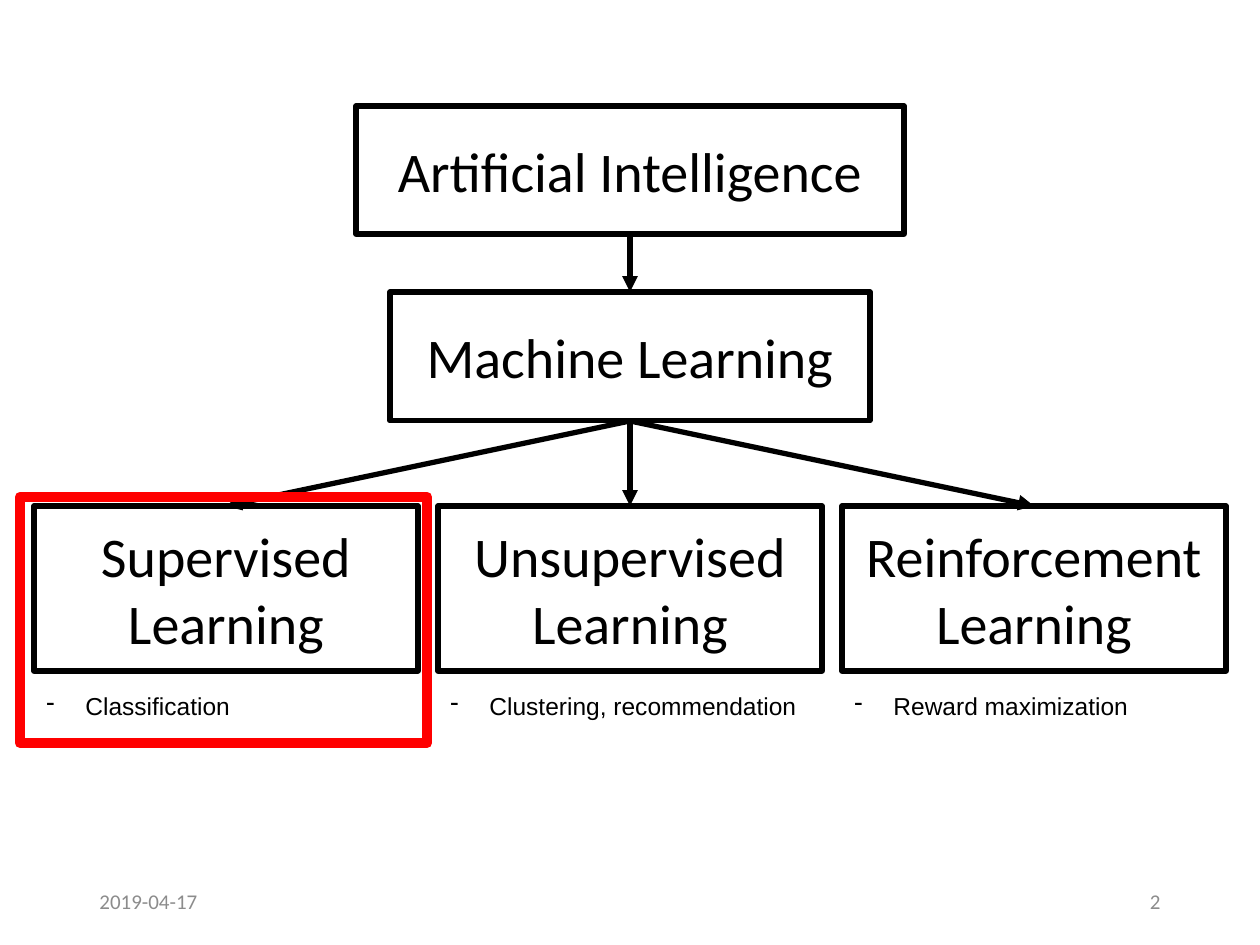
from dataclasses import dataclass

from lxml import etree
from pptx import Presentation
from pptx.dml.color import RGBColor
from pptx.enum.shapes import MSO_CONNECTOR, MSO_SHAPE
from pptx.enum.text import MSO_ANCHOR, PP_ALIGN
from pptx.oxml.ns import qn
from pptx.util import Emu, Pt

STRAIGHT = MSO_CONNECTOR.STRAIGHT
RECTANGLE = MSO_SHAPE.RECTANGLE
TOP, MIDDLE = MSO_ANCHOR.TOP, MSO_ANCHOR.MIDDLE
LEFT, CENTER, RIGHT = PP_ALIGN.LEFT, PP_ALIGN.CENTER, PP_ALIGN.RIGHT
PIXELS_PER_INCH = 126


@dataclass(frozen=True)
class Theme:
    ink: RGBColor = RGBColor(0, 0, 0)
    paper: RGBColor = RGBColor(255, 255, 255)
    highlight: RGBColor = RGBColor(255, 0, 0)
    muted: RGBColor = RGBColor(0x8C, 0x8C, 0x8C)
    heading_font: str = "Calibri"
    note_font: str = "Arial"
    heading_size: int = 32
    note_size: int = 14
    footer_size: int = 12
    line_width: int = 3
    highlight_width: int = 6


THEME = Theme()


def px(length):
    return Emu(round(length * 914400 / PIXELS_PER_INCH))


def write_text(shape, lines, font_name, size, color, alignment, anchor, bullet_indent=0):
    frame = shape.text_frame
    frame.word_wrap = True
    frame.vertical_anchor = anchor
    frame.text = "\n".join(lines)
    for paragraph in frame.paragraphs:
        paragraph.alignment = alignment
        if bullet_indent:
            properties = paragraph._p.get_or_add_pPr()
            properties.set("marL", str(px(bullet_indent)))
            properties.set("indent", str(-px(bullet_indent)))
            etree.SubElement(properties, qn("a:buChar")).set("char", "-")
        paragraph.font.name = font_name
        paragraph.font.size = Pt(size)
        paragraph.font.color.rgb = color


def add_rectangle(slide, box, line_color, line_width):
    shape = slide.shapes.add_shape(RECTANGLE, *map(px, box))
    shape.shadow.inherit = False
    shape.fill.background()
    shape.line.color.rgb = line_color
    shape.line.width = Pt(line_width)
    return shape


def add_node(slide, box, lines):
    node = add_rectangle(slide, box, THEME.ink, THEME.line_width)
    node.fill.solid()
    node.fill.fore_color.rgb = THEME.paper
    write_text(node, lines, THEME.heading_font, THEME.heading_size, THEME.ink, CENTER, MIDDLE)
    return node


def add_arrow(slide, parent, child):
    arrow = slide.shapes.add_connector(STRAIGHT, 0, 0, 0, 0)
    arrow.begin_connect(parent, 2)
    arrow.end_connect(child, 0)
    arrow.line.color.rgb = THEME.ink
    arrow.line.width = Pt(THEME.line_width)
    etree.SubElement(arrow.line._get_or_add_ln(), qn("a:tailEnd")).set("type", "triangle")
    etree.SubElement(arrow._element.spPr, qn("a:effectLst"))


def add_note(slide, box, text):
    note = slide.shapes.add_textbox(*map(px, box))
    write_text(note, [text], THEME.note_font, THEME.note_size, THEME.ink, LEFT, TOP, 39)


def add_hierarchy(slide, box):
    left, top, width, height = box
    center = left + width / 2
    root = add_node(slide, (center - 274, top, 548, 128), ["Artificial Intelligence"])
    hub = add_node(slide, (center - 240, top + 186, 480, 129), ["Machine Learning"])
    add_arrow(slide, root, hub)

    branches = [
        (["Supervised", "Learning"], "Classification"),
        (["Unsupervised Learning"], "Clustering, recommendation"),
        (["Reinforcement", "Learning"], "Reward maximization"),
    ]
    gap = 20
    branch_width = (width - gap * (len(branches) - 1)) / len(branches)
    branch_top = top + 400
    for index, (lines, note) in enumerate(branches):
        branch_left = left + index * (branch_width + gap)
        branch = add_node(slide, (branch_left, branch_top, branch_width, 165), lines)
        add_arrow(slide, hub, branch)
        add_note(slide, (branch_left, branch_top + 179, branch_width, 43), note)

    highlight_box = (left - 14, branch_top - 9, branch_width + 23, 246)
    add_rectangle(slide, highlight_box, THEME.highlight, THEME.highlight_width)


def add_footer(slide, box):
    left, top, width, height = box
    item_width = 284
    items = [("2019-04-17", left, LEFT), ("2", left + width - item_width, RIGHT)]
    for text, item_left, alignment in items:
        item = slide.shapes.add_textbox(*map(px, (item_left, top, item_width, height)))
        write_text(item, [text], THEME.heading_font, THEME.footer_size, THEME.muted,
                   alignment, MIDDLE)


def main():
    presentation = Presentation()
    presentation.slide_width = px(1260)
    presentation.slide_height = px(945)
    slide = presentation.slides.add_slide(presentation.slide_layouts[6])
    add_footer(slide, (87, 876, 1086, 50))
    add_hierarchy(slide, (34, 106, 1192, 622))
    presentation.save("out.pptx")


if __name__ == "__main__":
    main()
